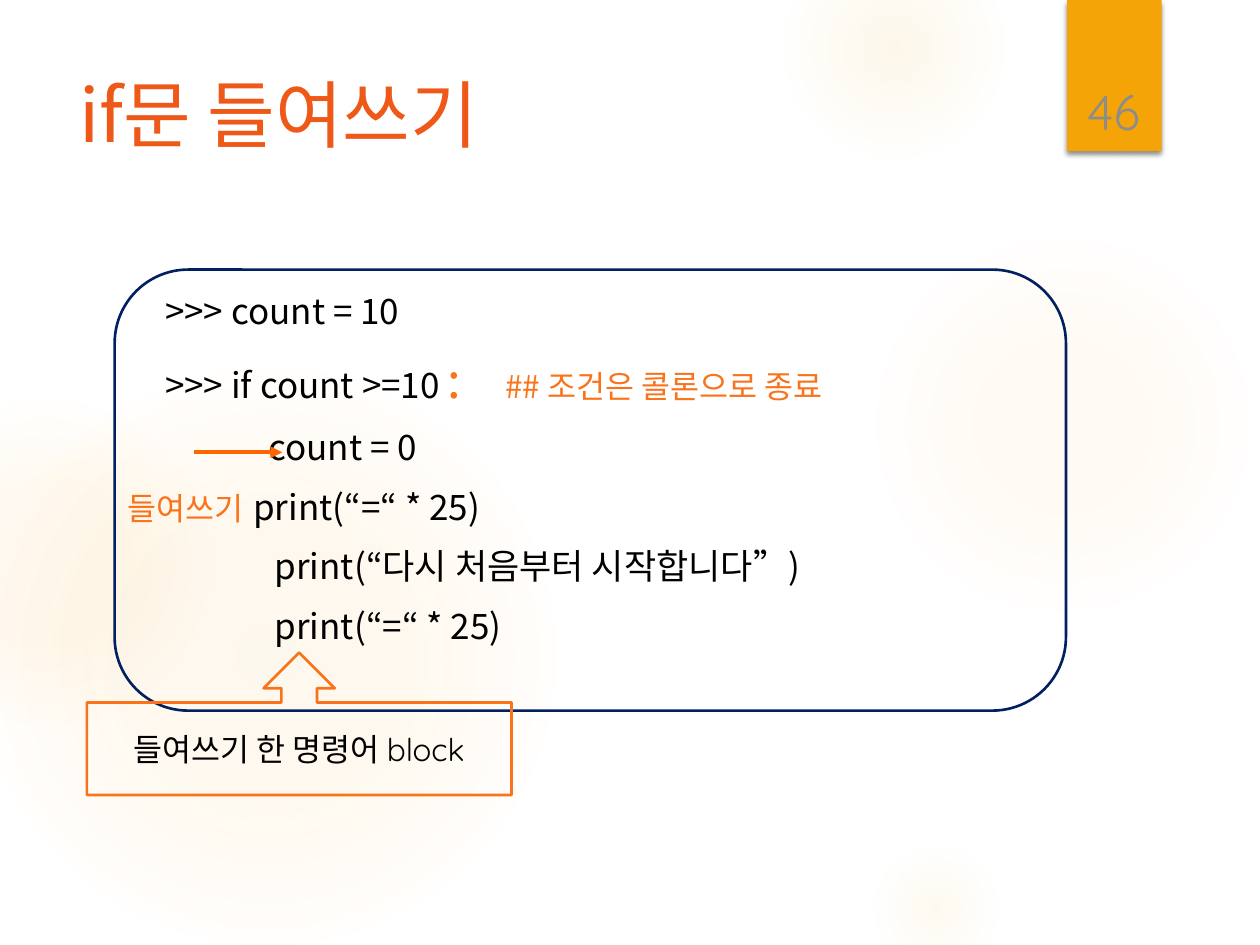
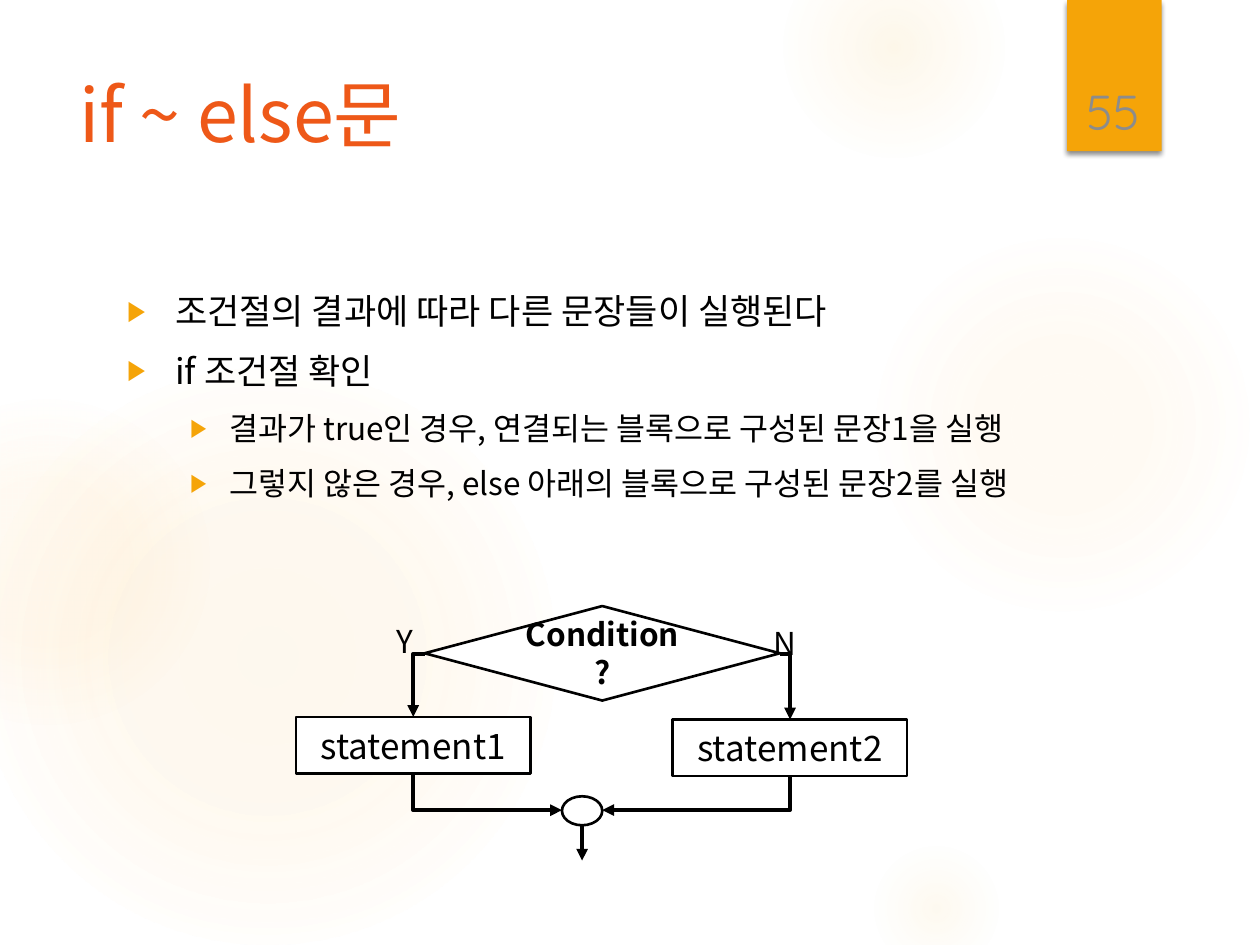
from lxml.etree import SubElement
from pptx import Presentation
from pptx.dml.color import RGBColor
from pptx.enum.shapes import MSO_CONNECTOR, MSO_SHAPE
from pptx.enum.text import MSO_ANCHOR, MSO_AUTO_SIZE, PP_ALIGN
from pptx.oxml import parse_xml
from pptx.oxml.ns import nsdecls, qn
from pptx.util import Inches, Pt

COLORS = {
    "title": "EE5818", "band": "F5A408", "glow": "FAC96A", "number": "8C8C8C",
    "accent": "FA731A", "arrow": "FF6600", "frame": "002060",
    "ink": "000000", "paper": "FFFFFF",
}
TEXT_FONT = "Noto Sans CJK KR"
LATIN_FONT = "Quicksand"

# Soft circles: left, top, diameter, then (position, opacity) stops in percent
GLOWS = [
    (6.89, 1.83, 3.08, [(0, 7), (36, 6), (69, 0)]),
    (6.22, -0.5, 1.75, [(0, 14), (36, 7), (73, 0)]),
    (6.89, 6.67, 1.08, [(0, 10), (31, 5), (66, 0)]),
    (-0.17, 2.92, 4.58, [(0, 11), (36, 10), (75, 0)]),
    (-0.92, 3.17, 2.58, [(0, 8), (36, 8), (72, 0)]),
]
TITLE_BOX = (0.53, 0.5, 7.72, 1.53)
BODY_BOX = (0.91, 2.25, 7.34, 4.59)
BAND_BOX = (8.47, 0, 0.75, 1.2)
NUMBER_BOX = (8.49, 0.32, 0.69, 0.84)


def color(name):
    return RGBColor.from_string(COLORS[name])


def inches(box):
    return [Inches(value) for value in box]


def add_span(para, text, size, tint="ink", font=TEXT_FONT, bold=False):
    span = para.add_run()
    span.text = text
    span.font.size = Pt(size)
    span.font.name = font
    span.font.bold = bold
    span.font.color.rgb = color(tint)
    SubElement(span.font._element, qn("a:ea")).set("typeface", TEXT_FONT)


def add_figure(page, kind, box, fill=None, line=None):
    figure = page.shapes.add_shape(kind, *inches(box))
    figure.shadow.inherit = False
    if fill:
        figure.fill.solid()
        figure.fill.fore_color.rgb = color(fill)
    else:
        figure.fill.background()
    if line:
        figure.line.color.rgb = color(line)
        figure.line.width = Pt(1.5)
    else:
        figure.line.fill.background()
    return figure


def add_label(figure, text, size, **style):
    """Write centred text inside a shape."""
    figure.text_frame.vertical_anchor = MSO_ANCHOR.MIDDLE
    para = figure.text_frame.paragraphs[0]
    para.alignment = PP_ALIGN.CENTER
    add_span(para, text, size, **style)


def add_text(page, box, text, size, **style):
    frame = page.shapes.add_textbox(*inches(box)).text_frame
    add_span(frame.paragraphs[0], text, size, **style)
    return frame


def add_arrow(page, begin, end, tint="ink", bent=False, tip="tailEnd"):
    """Bent arrows run sideways first and then up or down."""
    kind = MSO_CONNECTOR.ELBOW if bent else MSO_CONNECTOR.STRAIGHT
    arrow = page.shapes.add_connector(kind, *inches(begin), *inches(end))
    arrow.line.color.rgb = color(tint)
    arrow.line.width = Pt(2.25)
    properties = arrow.element.spPr
    if bent:
        properties.find(qn("a:prstGeom")).set("prst", "bentConnector2")
    SubElement(properties.find(qn("a:ln")), qn(f"a:{tip}")).set("type", "triangle")
    SubElement(properties, qn("a:effectLst"))
    return arrow


def set_indent(para, margin, first):
    properties = para._p.get_or_add_pPr()
    properties.set("marL", str(Inches(margin)))
    properties.set("indent", str(Inches(first)))
    para.space_before = Pt(10)
    return properties


def add_glow(page, left, top, size, stops):
    glow = add_figure(page, MSO_SHAPE.OVAL, (left, top, size, size))
    marks = "".join(
        f'<a:gs pos="{position * 1000}"><a:srgbClr val="{COLORS["glow"]}">'
        f'<a:alpha val="{opacity * 1000}"/></a:srgbClr></a:gs>'
        for position, opacity in stops)
    gradient = parse_xml(
        f'<a:gradFill {nsdecls("a")}><a:gsLst>{marks}</a:gsLst><a:path path="circle">'
        '<a:fillToRect l="50000" t="50000" r="50000" b="50000"/></a:path></a:gradFill>')
    properties = glow.element.spPr
    properties.replace(properties.find(qn("a:noFill")), gradient)
    return glow


def add_band(page):
    band = add_figure(page, MSO_SHAPE.RECTANGLE, BAND_BOX, fill="band")
    effects = band.element.spPr.find(qn("a:effectLst"))
    effects.append(parse_xml(
        f'<a:outerShdw {nsdecls("a")} blurRad="{Pt(3)}" dist="{Pt(2)}" dir="5400000" '
        f'rotWithShape="0"><a:srgbClr val="{COLORS["ink"]}"><a:alpha val="45000"/>'
        '</a:srgbClr></a:outerShdw>'))
    return band


def prepare_layout(layout, page):
    """Give the layout its backdrop and its title and body boxes."""
    backdrop = [add_glow(page, *glow) for glow in GLOWS] + [add_band(page)]
    first = layout.shapes[0].element
    for figure in backdrop:
        first.addprevious(figure.element)
    for holder, box in zip(layout.placeholders, (TITLE_BOX, BODY_BOX)):
        holder.left, holder.top, holder.width, holder.height = inches(box)
        holder.text_frame.vertical_anchor = MSO_ANCHOR.TOP
        holder.text_frame.auto_size = MSO_AUTO_SIZE.NONE


def add_heading(page, title, number):
    para = page.shapes.title.text_frame.paragraphs[0]
    para.alignment = PP_ALIGN.LEFT
    add_span(para, title, 42, "title")
    frame = add_text(page, NUMBER_BOX, number, 28, tint="number", font=LATIN_FONT)
    frame.word_wrap = True
    frame.vertical_anchor = MSO_ANCHOR.BOTTOM
    frame.paragraphs[0].alignment = PP_ALIGN.CENTER


def fill_code(body, lines):
    """Each line has a first indent, a tab stop or None, and its spans."""
    frame = body.text_frame
    for index, (first, tab, spans) in enumerate(lines):
        para = frame.add_paragraph() if index else frame.paragraphs[0]
        properties = set_indent(para, 0, first)
        SubElement(properties, qn("a:buNone"))
        if tab:
            stops = SubElement(properties, qn("a:tabLst"))
            stop = SubElement(stops, qn("a:tab"))
            stop.set("pos", str(Inches(tab)))
            stop.set("algn", "l")
        for span in spans:
            add_span(para, *span)


def fill_bullets(body, items):
    frame = body.text_frame
    for index, (level, text) in enumerate(items):
        para = frame.add_paragraph() if index else frame.paragraphs[0]
        para.level = level
        margin, first, size = [(0.38, -0.38, 20), (0.81, -0.31, 18)][level]
        properties = set_indent(para, margin, first)
        tint = SubElement(properties, qn("a:buClr"))
        SubElement(tint, qn("a:srgbClr")).set("val", COLORS["band"])
        SubElement(properties, qn("a:buSzPct")).set("val", "80000")
        SubElement(properties, qn("a:buChar")).set("char", "▶")
        add_span(para, text, size)


def add_flowchart(page, left, top):
    """Decision with two branches that meet again in a small circle."""
    def place(x, y, width, height):
        return left + x, top + y, width, height

    def point(x, y):
        return left + x, top + y

    box_width, box_height = 1.86, 0.45
    circle_left, circle_right, circle_middle = 2.11, 2.43, 1.62

    # Decision
    decision = add_figure(page, MSO_SHAPE.FLOWCHART_DECISION,
                          place(1.02, 0, 2.82, 0.75), "paper", "ink")
    add_label(decision, "Condition?", 18, bold=True)
    add_figure(page, MSO_SHAPE.FLOWCHART_CONNECTOR,
               place(circle_left, 1.51, 0.32, 0.23), "paper", "ink")

    # Branches: text, box corner, decision corner, circle side, letter and its place
    branches = [
        ("statement1", 0, 0.88, 1.02, circle_left, "Y", (0.7, 0.08, 0.35, 0.29)),
        ("statement2", 2.99, 0.9, 3.84, circle_right, "N", (3.69, 0.09, 0.4, 0.29)),
    ]
    for text, x, y, corner, side, letter, letter_box in branches:
        box = add_figure(page, MSO_SHAPE.RECTANGLE,
                         place(x, y, box_width, box_height), "paper", "ink")
        add_label(box, text, 20)
        middle = x + box_width / 2
        add_arrow(page, point(corner, 0.38), point(middle, y), bent=True)
        add_arrow(page, point(side, circle_middle), point(middle, y + box_height),
                  bent=True, tip="headEnd")
        add_text(page, place(*letter_box), letter, 18).word_wrap = False

    # Way out
    add_arrow(page, point(2.27, 1.74), point(2.27, 2.02))


def build_indent_page(page):
    add_heading(page, "if문 들여쓰기", "46")
    fill_code(page.placeholders[1], [
        (0.3, None, [(">>> count = 10", 20)]),
        (0.3, 3.17, [(">>> if count >=10 ", 20), (":", 28, "accent"),
                     ("\t## 조건은 콜론으로 종료", 18, "accent")]),
        (1.12, None, [("count = 0", 20)]),
        (0, 1.38, [("들여쓰기", 18, "accent"), ("\tprint(“=“ * 25)", 20)]),
        (1.17, None, [("print(“다시 처음부터 시작합니다”)", 20)]),
        (1.17, None, [("print(“=“ * 25)", 20)]),
    ])
    # Code frame, indent arrow and block callout
    add_figure(page, MSO_SHAPE.ROUNDED_RECTANGLE, (0.91, 2.14, 7.55, 3.5), line="frame")
    add_arrow(page, (1.54, 3.59), (2.24, 3.59), "arrow")
    callout = add_figure(page, MSO_SHAPE.UP_ARROW_CALLOUT, (0.69, 5.18, 3.37, 1.13),
                         line="accent")
    add_label(callout, "들여쓰기 한 명령어 block", 18, font=LATIN_FONT)


def build_else_page(page):
    add_heading(page, "if ~ else문", "55")
    fill_bullets(page.placeholders[1], [
        (0, "조건절의 결과에 따라 다른 문장들이 실행된다"),
        (0, "if 조건절 확인"),
        (1, "결과가 true인 경우, 연결되는 블록으로 구성된 문장1을 실행"),
        (1, "그렇지 않은 경우, else 아래의 블록으로 구성된 문장2를 실행"),
    ])
    add_flowchart(page, 2.35, 4.81)


def main():
    deck = Presentation()
    deck.slide_width, deck.slide_height = Inches(10), Inches(7.5)
    layout = deck.slide_layouts[1]
    pages = [deck.slides.add_slide(layout) for _ in range(2)]
    prepare_layout(layout, pages[0])
    build_indent_page(pages[0])
    build_else_page(pages[1])
    deck.save("out.pptx")


if __name__ == "__main__":
    main()
